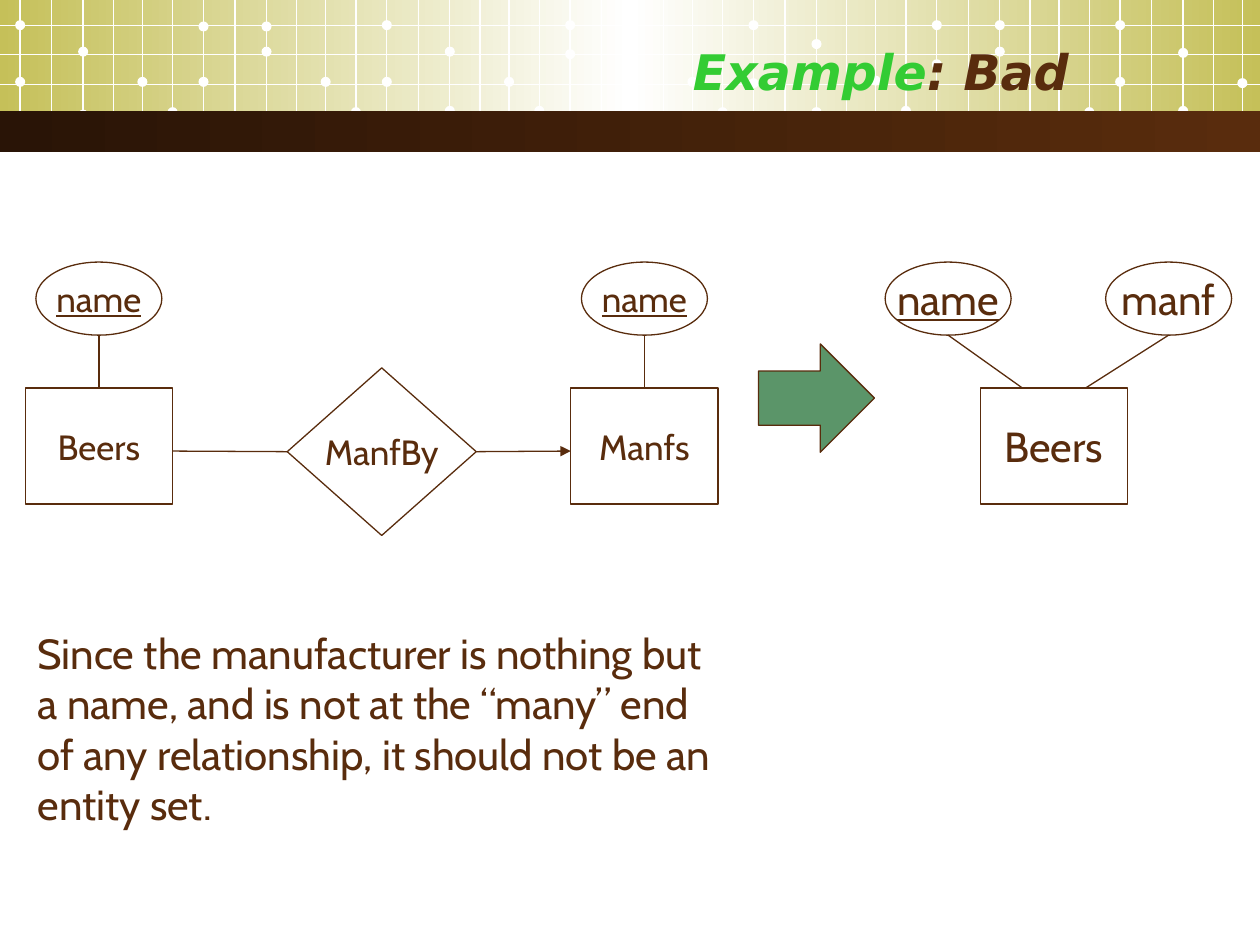
from copy import deepcopy

from pptx import Presentation
from pptx.dml.color import RGBColor
from pptx.enum.shapes import MSO_CONNECTOR, MSO_SHAPE
from pptx.enum.text import MSO_ANCHOR, PP_ALIGN
from pptx.oxml.ns import qn
from pptx.oxml.xmlchemy import OxmlElement
from pptx.util import Inches, Pt

RECT, OVAL = MSO_SHAPE.RECTANGLE, MSO_SHAPE.OVAL
DIAMOND, ARROW = MSO_SHAPE.DIAMOND, MSO_SHAPE.RIGHT_ARROW
LINE = MSO_CONNECTOR.STRAIGHT
MIDDLE, TOP = MSO_ANCHOR.MIDDLE, MSO_ANCHOR.TOP
LEFT, CENTER, RIGHT = PP_ALIGN.LEFT, PP_ALIGN.CENTER, PP_ALIGN.RIGHT

COLORS = {
    "white": "FFFFFF", "olive": "C5C059", "dark": "291406",
    "brown": "592C0D", "lime": "33CC33", "green": "5B9569",
}
BODY, HEAD = "Cabin", "DejaVu Sans"

COLS = (0, 0.25, 0.5, 0.74, 0.97, 1.21)
DOT_COLS = (0, 0, 2, 2, 4, 5)
DOT_ROWS = (
    (0.65, 0.2, 0.41, 0.91, 0.65, 0.89),
    (0.65, 0.21, 0.41, 0.21, 0.65, 0.89),
    (0.65, 0.2, 0.41, 0.88, 0.65, 0.88),
    (0.43, 0.2, 0.42, 0.2, 0.65, 0.89),
    (0.66, 0.2, 0.35, 0.89, 0.64, 0.88),
    (0.51, 0.2, 0.41, 0.2, 0.65, 0.89),
    (0.65, 0.2, 0.42, 0.88, 0.66),
)


def rgb(name):
    return RGBColor.from_string(COLORS[name])


def add_shape(slide, kind, box, fill=None, line=None):
    shape = slide.shapes.add_shape(kind, *map(Inches, box))
    shape.shadow.inherit = False
    if fill:
        shape.fill.solid()
        shape.fill.fore_color.rgb = rgb(fill)
    else:
        shape.fill.background()
    if line:
        shape.line.color.rgb = rgb(line)
        shape.line.width = Pt(0.75)
    else:
        shape.line.fill.background()
    return shape


def add_line(slide, start, end, color="brown", arrow=False):
    line = slide.shapes.add_connector(LINE, *map(Inches, start + end))
    line.line.color.rgb = rgb(color)
    line.line.width = Pt(0.75)
    if arrow:
        tail = OxmlElement("a:tailEnd")
        tail.set("type", "triangle")
        line.line._get_or_add_ln().append(tail)
    line._element.spPr.append(OxmlElement("a:effectLst"))
    return line


def add_fade(slide, box, names):
    shape = add_shape(slide, RECT, box)
    fill = shape.fill
    fill.gradient()
    fill.gradient_angle = 0
    first = next(shape._element.spPr.iter(qn("a:gs")))
    for _ in names[2:]:
        first.addnext(deepcopy(first))
    for i, (stop, name) in enumerate(zip(fill.gradient_stops, names)):
        stop.color.rgb = rgb(name)
        stop.position = i / (len(names) - 1)


def write(shape, runs, size, font=BODY, align=CENTER, anchor=MIDDLE,
          wrap=False, bold=False, under=False):
    frame = shape.text_frame
    frame.word_wrap = wrap
    frame.vertical_anchor = anchor
    para = frame.paragraphs[0]
    para.alignment = align
    for text, color in runs:
        run = para.add_run()
        run.text = text
        run.font.name = font
        run.font.size = Pt(size)
        run.font.bold = run.font.italic = bold
        run.font.underline = under
        run.font.color.rgb = rgb(color)


def add_text(slide, box, runs, size, **style):
    shape = slide.shapes.add_textbox(*map(Inches, box))
    write(shape, runs, size, wrap=True, **style)


def add_node(slide, kind, box, text, size, under=False):
    node = add_shape(slide, kind, box, line="brown")
    write(node, [(text, "brown")], size, under=under)
    return node


def draw_band(slide, box):
    x, y, w, h = box
    add_fade(slide, (x, y, w, 1.02), ("olive", "white", "olive"))
    for i, rows in enumerate(DOT_ROWS):
        left = x + 0.16 + 1.455 * i
        for col in COLS[:len(rows)]:
            add_line(slide, (left + col, y), (left + col, y + 1.1), "white")
        for col, row in zip(DOT_COLS, rows):
            dot = (left + COLS[col] - 0.04, y + row - 0.04, 0.08, 0.08)
            add_shape(slide, OVAL, dot, "white")
    for row in (0.2, 0.43, 0.67, 0.89):
        add_line(slide, (x, y + row), (x + w, y + row), "white")
    add_fade(slide, (x, y + h - 0.33, w, 0.33), ("dark", "brown"))
    add_text(slide, (x + 0.5, y + 0.25, 8.08, 0.62),
             [("Example", "lime"), (": Bad", "brown")], 28,
             font=HEAD, align=RIGHT, anchor=MIDDLE, bold=True)


def draw_entity(slide, box, text, size, keys):
    x, y, w, h = box
    mid = x + w / 2
    node = add_node(slide, RECT, (x, y + 1, w, h - 1), text, size)
    for name, shift, foot, under in keys:
        oval = (mid + shift - 0.5, y, 1, 0.58)
        add_node(slide, OVAL, oval, name, size, under)
        stem = add_line(slide, (mid + shift, y + 0.58), (mid + foot, y + 1))
        if foot == 0:
            stem.end_connect(node, 0)


def draw_model(slide, box):
    x, y, w, h = box
    key = [("name", 0, 0, True)]
    for left, text in ((x, "Beers"), (x + w - 1.17, "Manfs")):
        draw_entity(slide, (left, y, 1.17, 1.92), text, 20, key)
    link = add_node(slide, DIAMOND, (x + 2.08, y + h - 1.33, 1.5, 1.33),
                    "ManfBy", 20)
    row = y + h - 0.67
    for side, start, end, arrow in ((1, x + 2.08, x + 1.17, False),
                                    (3, x + 3.58, x + w - 1.17, True)):
        line = add_line(slide, (start, row), (end, row), arrow=arrow)
        line.begin_connect(link, side)


def main():
    deck = Presentation()
    deck.slide_width, deck.slide_height = Inches(10), Inches(7.5)
    slide = deck.slides.add_slide(deck.slide_layouts[6])
    draw_band(slide, (0, 0, 10, 1.21))
    draw_model(slide, (0.2, 2.08, 5.5, 2.17))
    draw_entity(slide, (7.78, 2.08, 1.17, 1.92), "Beers", 24,
                [("name", -0.84, -0.25, True), ("manf", 0.91, 0.25, False)])
    add_shape(slide, ARROW, (6.02, 2.73, 0.92, 0.86), "green", "brown")
    add_text(slide, (0.2, 4.93, 5.59, 1.7),
             [("Since the manufacturer is nothing but a name, and is not at "
               "the “many” end of any relationship, it should not be an "
               "entity set.", "brown")], 24, align=LEFT, anchor=TOP)
    deck.save("out.pptx")


if __name__ == "__main__":
    main()
